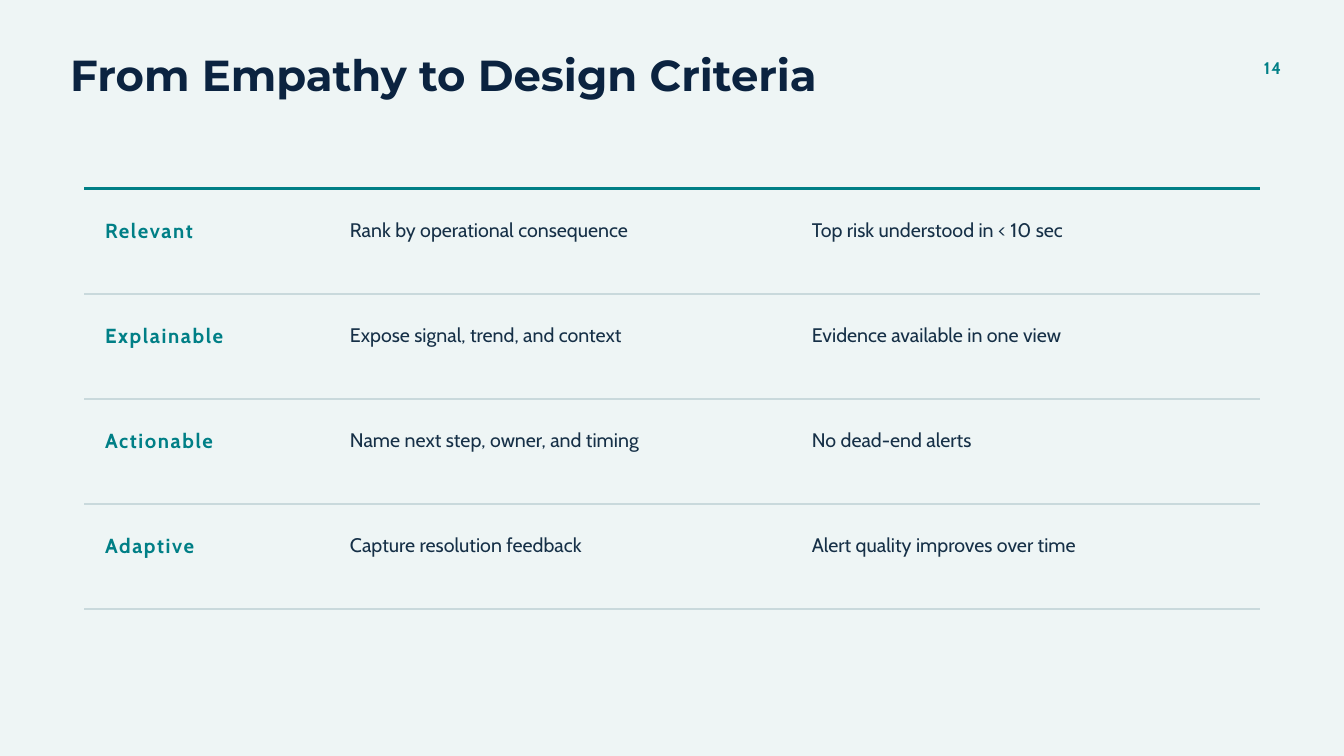
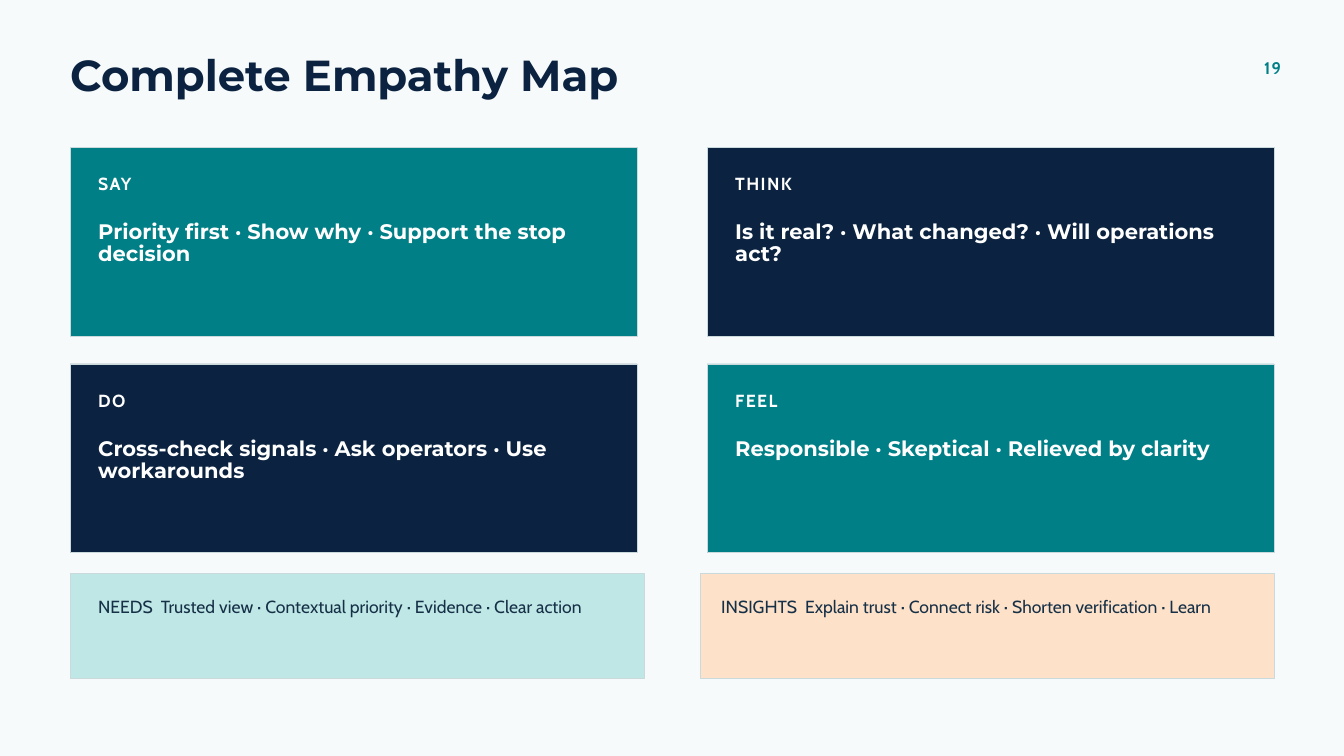
"""Build the design criteria and empathy map slides."""
import lxml.etree
import pptx
import pptx.dml.color
import pptx.enum.shapes
import pptx.enum.text
import pptx.oxml.ns
import pptx.util

Cm, Pt = pptx.util.Cm, pptx.util.Pt
RGB = pptx.dml.color.RGBColor
ALIGN = pptx.enum.text.PP_ALIGN
COLORS = {"navy": "0B2340", "teal": "007F86", "ink": "163047", "rule": "C9D9DC",
          "white": "FFFFFF", "mint": "BFE7E5", "peach": "FDE1C8",
          "mist": "EEF5F5", "frost": "F7FAFB"}
COLORS = {name: RGB.from_string(value) for name, value in COLORS.items()}
STYLES = {
    "title": {"font": {"name": "Montserrat", "size": Pt(46.5), "bold": True}, "color": "navy", "leading": 48.8},
    "number": {"font": {"name": "Cabin", "size": Pt(18), "bold": True}, "color": "teal", "leading": 25.2, "spc": 140},
    "criterion": {"font": {"name": "Cabin", "size": Pt(21.8), "bold": True}, "color": "teal", "leading": 30.4, "spc": 170},
    "cell": {"font": {"name": "Cabin", "size": Pt(21), "bold": False}, "color": "ink", "leading": 28.4},
    "label": {"font": {"name": "Cabin", "size": Pt(18.8), "bold": True}, "color": "white", "leading": 26.2, "spc": 150},
    "card": {"font": {"name": "Montserrat", "size": Pt(22.5), "bold": True}, "color": "white", "leading": 23.6},
    "summary": {"font": {"name": "Cabin", "size": Pt(18.8), "bold": False}, "color": "ink", "leading": 25.3},
}
FRAME = {"margin_left": 0, "margin_top": 0, "margin_right": 0, "margin_bottom": 0,
         "word_wrap": True, "vertical_anchor": pptx.enum.text.MSO_ANCHOR.TOP,
         "auto_size": pptx.enum.text.MSO_AUTO_SIZE.SHAPE_TO_FIT_TEXT}


def write(sp, box, style, *parts, align=ALIGN.LEFT):
    """Place a text shape and write its parts as runs, spaced by a wide gap."""
    look = STYLES[style]
    for key, value in zip(("left", "top", "width", "height"), box):
        setattr(sp, key, Cm(value))
    tf = sp.text_frame
    for key, value in FRAME.items():
        setattr(tf, key, value)
    p = tf.paragraphs[0]
    p.alignment, p.line_spacing = align, Pt(look["leading"])
    runs = [(parts[0], look.get("spc"))]
    for part in parts[1:]:
        runs += [(" ", 400), (part, look.get("spc"))]
    for text, spc in runs:
        r = p.add_run()
        r.text = text
        for key, value in look["font"].items():
            setattr(r.font, key, value)
        r.font.color.rgb = COLORS[look["color"]]
        if spc:
            r.font._element.set("spc", str(spc))


def add_panel(s, box, fill):
    """Add a group holding a filled rectangle and return its shapes."""
    shapes = s.shapes.add_group_shape().shapes
    sp = shapes.add_shape(pptx.enum.shapes.MSO_SHAPE.RECTANGLE, *map(Cm, box))
    sp.shadow.inherit = False
    sp.fill.solid()
    sp.fill.fore_color.rgb = COLORS[fill]
    sp.line.color.rgb = COLORS["rule"]
    sp.line.width = Pt(0.75)
    return shapes


prs = pptx.Presentation()
prs.slide_width, prs.slide_height = Cm(50.8), Cm(28.58)

slides = []
for title, number, background in [("From Empathy to Design Criteria", "14", "mist"),
                                  ("Complete Empathy Map", "19", "frost")]:
    s = prs.slides.add_slide(prs.slide_layouts.get_by_name("Title Only"))
    s.background.fill.solid()
    s.background.fill.fore_color.rgb = COLORS[background]
    write(s.shapes.title, (2.65, 2.06, 39.69, 1.75), "title", title)
    write(s.shapes.add_textbox(0, 0, 0, 0), (46.57, 2.06, 1.85, 0.86), "number", number, align=ALIGN.RIGHT)
    slides.append(s)
criteria_slide, map_slide = slides

CRITERIA = [
    ("Relevant", "Rank by operational consequence", "Top risk understood in < 10 sec"),
    ("Explainable", "Expose signal, trend, and context", "Evidence available in one view"),
    ("Actionable", "Name next step, owner, and timing", "No dead-end alerts"),
    ("Adaptive", "Capture resolution feedback", "Alert quality improves over time"),
]
COLUMNS = [(3.97, 8.1, 7.94, 1.0, "criterion"), (13.23, 8.13, 15.08, 0.94, "cell"),
           (30.69, 8.13, 15.88, 0.94, "cell")]
ROW_STEP = 3.97

for i in range(len(CRITERIA) + 1):
    y = Cm(7.14 + i * ROW_STEP)
    rule = criteria_slide.shapes.add_connector(
        pptx.enum.shapes.MSO_CONNECTOR.STRAIGHT, Cm(3.18), y, Cm(47.63), y)
    rule.line.color.rgb = COLORS["rule" if i else "teal"]
    rule.line.width = Pt(1.5 if i else 3)
    lxml.etree.SubElement(rule._element.spPr, pptx.oxml.ns.qn("a:effectLst"))

for i, row in enumerate(CRITERIA):
    for text, (x, y, w, h, style) in zip(row, COLUMNS):
        sp = criteria_slide.shapes.add_textbox(0, 0, 0, 0)
        write(sp, (x, y + i * ROW_STEP, w, h), style, text)

QUADRANTS = [
    ("SAY", "Priority first · Show why · Support the stop decision"),
    ("THINK", "Is it real? · What changed? · Will operations act?"),
    ("DO", "Cross-check signals · Ask operators · Use workarounds"),
    ("FEEL", "Responsible · Skeptical · Relieved by clarity"),
]
for i, (label, text) in enumerate(QUADRANTS):
    row, col = divmod(i, 2)
    x, y = 2.65 + col * 24.08, 5.56 + row * 8.2
    shapes = add_panel(map_slide, (x, y, 21.43, 7.14), "navy" if (row + col) % 2 else "teal")
    write(shapes.add_textbox(0, 0, 0, 0), (x + 1.06, y + 0.84, 4.76, 0.86), "label", label)
    write(shapes.add_textbox(0, 0, 0, 0), (x + 1.06, y + 2.82, 19.31, 1.7), "card", text)

SUMMARIES = [
    (2.65, 1.06, 20.11, "mint", "NEEDS", "Trusted view · Contextual priority · Evidence · Clear action"),
    (26.46, 0.8, 19.84, "peach", "INSIGHTS", "Explain trust · Connect risk · Shorten verification · Learn"),
]
for x, inset, w, fill, label, text in SUMMARIES:
    shapes = add_panel(map_slide, (x, 21.69, 21.7, 3.97), fill)
    write(shapes.add_textbox(0, 0, 0, 0), (x + inset, 22.43, w, 0.83), "summary", label, text)

prs.save("out.pptx")
